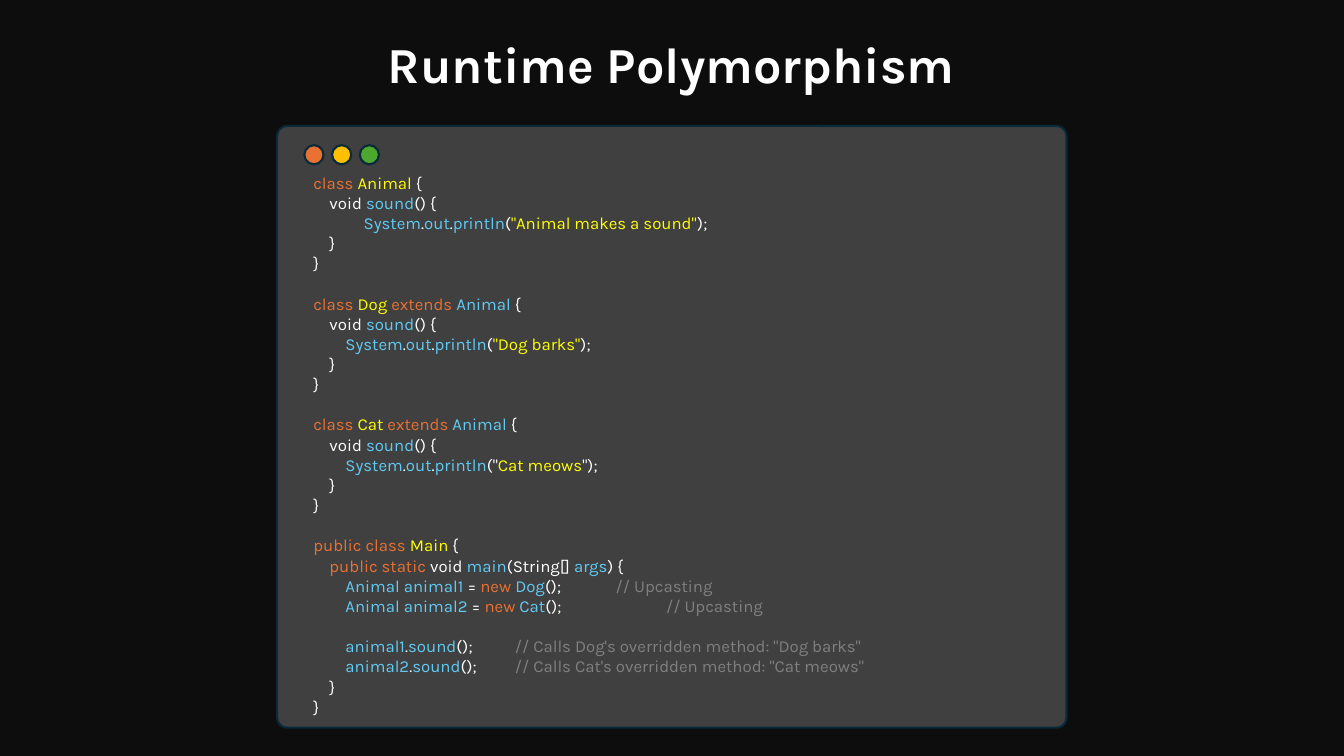
from pptx import Presentation
from pptx.dml.color import RGBColor
from pptx.enum.shapes import MSO_SHAPE
from pptx.enum.text import MSO_AUTO_SIZE, PP_ALIGN
from pptx.util import Pt
from lxml.etree import SubElement
from pptx.oxml.ns import qn

COLOURS = {
    "page": "0D0D0D", "window": "404040", "edge": "092A39",
    "close": "E97132", "minimise": "FFC000", "zoom": "4EA72E",
    "keyword": "E97132", "name": "61CBF4", "string": "FFFF00",
    "plain": "FFFFFF", "comment": "808080",
}
FONT = "Karla"
TITLE = "Runtime Polymorphism"
DOTS = ["close", "minimise", "zoom"]

# Code: each line is (tab stops, spans); each span is (text, colour)
METHOD, BODY, DEEP = 11.5, 23, 36
PRINTLN = [("System", "name"), (".", "plain"), ("out", "name"),
           (".", "plain"), ("println", "name")]
CLOSING = [([METHOD], [("}", "plain")]), ([], [("}", "plain")])]


def class_block(heading, body_stop, argument):
    return [
        ([], [("class ", "keyword"), *heading, (" {", "plain")]),
        ([METHOD], [("void ", "plain"), ("sound", "name"), ("() {", "plain")]),
        ([body_stop], PRINTLN + argument),
        *CLOSING,
    ]


def subclass_heading(name):
    return [(name + " ", "string"), ("extends ", "keyword"), ("Animal", "name")]


def creation(variable, name, comment_stop):
    return ([BODY, comment_stop], [
        ("Animal " + variable, "name"), (" = ", "plain"), ("new ", "keyword"),
        (name, "name"), ("(); \t", "plain"), ("// Upcasting", "comment")])


def sound_call(variable, comment):
    return ([BODY, 144], [
        (variable, "name"), (".", "plain"), ("sound", "name"),
        ("(); \t", "plain"), (comment, "comment")])


BLOCKS = [
    class_block([("Animal", "string")], DEEP,
                [("(", "plain"), ('"Animal makes a sound"', "string"), (");", "plain")]),
    class_block(subclass_heading("Dog"), BODY,
                [("(", "plain"), ('"Dog barks"', "string"), (");", "plain")]),
    class_block(subclass_heading("Cat"), BODY,
                [('("', "plain"), ("Cat meows", "string"), ('");', "plain")]),
    [
        ([], [("public class ", "keyword"), ("Main", "string"), (" {", "plain")]),
        ([METHOD], [("public static", "keyword"), (" void ", "plain"), ("main", "name"),
                    ("(String[] ", "plain"), ("args", "name"), (") {", "plain")]),
        creation("animal1", "Dog", 216),
        creation("animal2", "Cat", 252),
    ],
    [
        sound_call("animal1", "// Calls Dog's overridden method: \"Dog barks\""),
        sound_call("animal2", "// Calls Cat's overridden method: \"Cat meows\""),
        *CLOSING,
    ],
]


def colour(name):
    return RGBColor.from_string(COLOURS[name])


def add_span(para, text, *, size, tint="plain", bold=False):
    span = para.add_run()
    span.text = text
    span.font.name = FONT
    span.font.size = Pt(size)
    span.font.bold = bold
    span.font.color.rgb = colour(tint)


def add_box(left, top, width, height):
    box = page.shapes.add_textbox(Pt(left), Pt(top), Pt(width), Pt(height))
    box.text_frame.word_wrap = True
    box.text_frame.auto_size = MSO_AUTO_SIZE.SHAPE_TO_FIT_TEXT
    return box.text_frame


def add_figure(shapes, kind, left, top, width, height, fill):
    figure = shapes.add_shape(kind, Pt(left), Pt(top), Pt(width), Pt(height))
    figure.shadow.inherit = False
    figure.fill.solid()
    figure.fill.fore_color.rgb = colour(fill)
    figure.line.color.rgb = colour("edge")
    figure.line.width = Pt(1.5)
    return figure


def set_tab_stops(para, stops):
    tab_list = SubElement(para._p.get_or_add_pPr(), qn("a:tabLst"))
    for stop in stops:
        SubElement(tab_list, qn("a:tab"), pos=str(Pt(stop)), algn="l")


deck = Presentation()
deck.slide_width, deck.slide_height = Pt(960), Pt(540)
page = deck.slides.add_slide(deck.slide_layouts[6])
page.background.fill.solid()
page.background.fill.fore_color.rgb = colour("page")

# Title
heading = add_box(187.2, 20.2, 584.6, 51.1).paragraphs[0]
heading.alignment = PP_ALIGN.CENTER
add_span(heading, TITLE, size=36, bold=True)

# Editor window with its three buttons
window = add_figure(page.shapes, MSO_SHAPE.ROUNDED_RECTANGLE, 198, 90, 563.8, 429.8, "window")
window.adjustments[0] = 0.017
buttons = page.shapes.add_group_shape()
for index, dot in enumerate(DOTS):
    add_figure(buttons.shapes, MSO_SHAPE.OVAL, 217.4 + 19.8 * index, 103.7, 13.7, 13.7, dot)

# Code listing, one line of space between blocks
frame = add_box(216.7, 119.5, 526.3, 399.6)
para = frame.paragraphs[0]
for block_number, block in enumerate(BLOCKS):
    for line_number, (stops, spans) in enumerate(block):
        if block_number or line_number:
            para = frame.add_paragraph()
        if block_number and line_number == 0:
            para.space_before = Pt(14.4)
        if stops:
            set_tab_stops(para, stops)
            add_span(para, "\t", size=12)
        for text, tint in spans:
            add_span(para, text, size=12, tint=tint)

deck.save("out.pptx")
